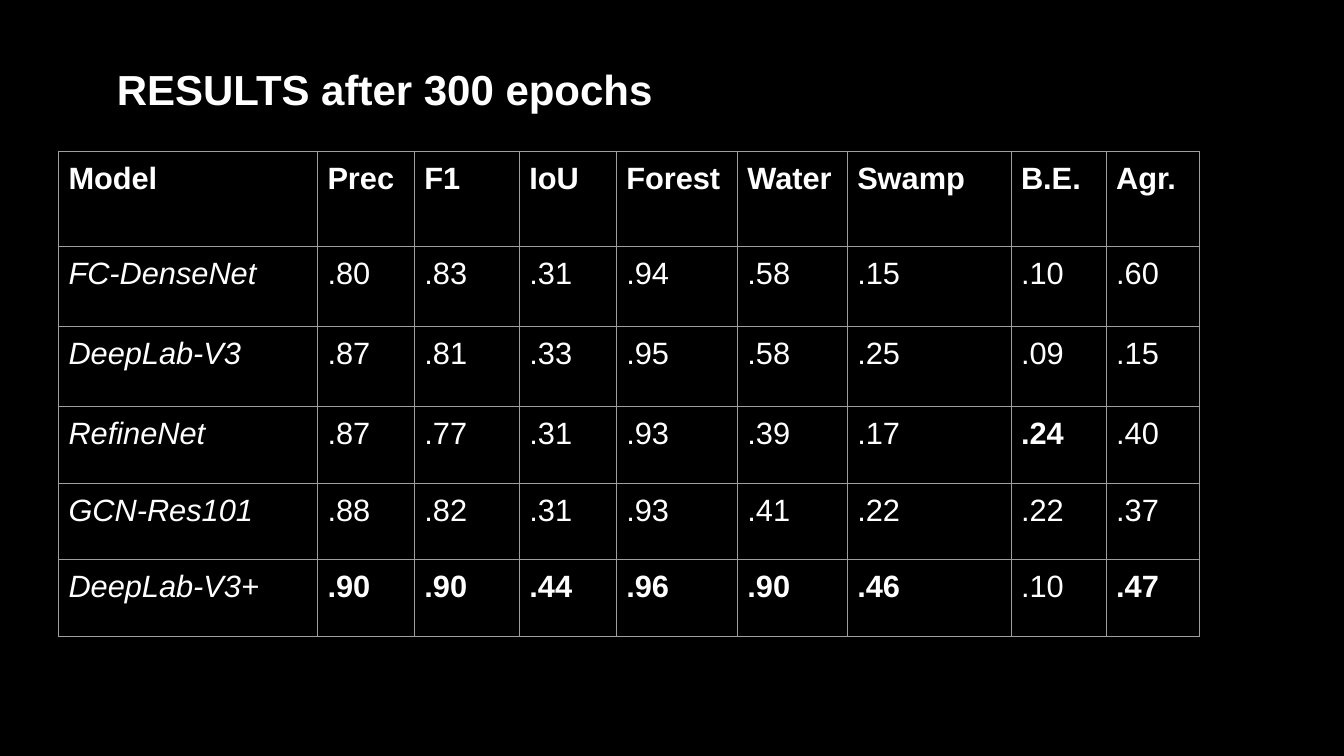
from lxml.etree import SubElement
from pptx import Presentation
from pptx.dml.color import RGBColor
from pptx.enum.text import MSO_ANCHOR, MSO_AUTO_SIZE, PP_ALIGN
from pptx.oxml.ns import qn
from pptx.util import Pt

COLORS = {"background": "000000", "text": "FFFFFF", "grid": "9E9E9E"}
FONT = "Arial"

METRICS = ["Model", "Prec", "F1", "IoU", "Forest", "Water", "Swamp", "B.E.", "Agr."]
# Scores in bold are marked with a trailing asterisk
SCORES = {
    "FC-DenseNet": ".80 .83 .31 .94 .58 .15 .10 .60",
    "DeepLab-V3": ".87 .81 .33 .95 .58 .25 .09 .15",
    "RefineNet": ".87 .77 .31 .93 .39 .17 .24* .40",
    "GCN-Res101": ".88 .82 .31 .93 .41 .22 .22 .37",
    "DeepLab-V3+": ".90* .90* .44* .96* .90* .46* .10 .47*",
}
COLUMN_WIDTHS = [185, 69.25, 75, 69.25, 86.5, 78.5, 117, 68, 67]
ROW_HEIGHTS = [68, 57, 57, 55, 54.5, 55]


def write(frame, text, size=22, bold=False, italic=False):
    paragraph = frame.paragraphs[0]
    paragraph.alignment = PP_ALIGN.LEFT
    run = paragraph.add_run()
    run.text = text
    run.font.name = FONT
    run.font.size = Pt(size)
    run.font.bold = bold
    run.font.italic = italic
    run.font.color.rgb = RGBColor.from_string(COLORS["text"])


def add_borders(cell, width=0.75):
    properties = cell._tc.get_or_add_tcPr()
    for position, side in enumerate(("a:lnL", "a:lnR", "a:lnT", "a:lnB")):
        line = properties.makeelement(qn(side), {"w": str(Pt(width))})
        fill = SubElement(line, qn("a:solidFill"))
        SubElement(fill, qn("a:srgbClr"), val=COLORS["grid"])
        properties.insert(position, line)


def fill_cell(cell, text, **style):
    cell.fill.background()
    cell.margin_left = cell.margin_right = Pt(7.2)
    cell.margin_top = cell.margin_bottom = Pt(7.2)
    cell.vertical_anchor = MSO_ANCHOR.TOP
    write(cell.text_frame, text, **style)
    add_borders(cell)


def add_title(slide, text):
    title = slide.shapes.title
    title.left, title.top, title.width, title.height = Pt(76.3), Pt(24), Pt(823.7), Pt(61)
    frame = title.text_frame
    frame.word_wrap = True
    frame.auto_size = MSO_AUTO_SIZE.NONE
    frame.vertical_anchor = MSO_ANCHOR.BOTTOM
    write(frame, text, size=30, bold=True)


def add_results(slide):
    results = slide.shapes.add_table(
        len(ROW_HEIGHTS), len(METRICS), Pt(41.75), Pt(108.25),
        Pt(sum(COLUMN_WIDTHS)), Pt(sum(ROW_HEIGHTS))).table
    results.first_row = results.horz_banding = False
    for column, width in zip(results.columns, COLUMN_WIDTHS):
        column.width = Pt(width)
    for row, height in zip(results.rows, ROW_HEIGHTS):
        row.height = Pt(height)

    # Header row
    for column, metric in enumerate(METRICS):
        fill_cell(results.cell(0, column), metric, bold=True)

    # One row for each model
    for row, (model, scores) in enumerate(SCORES.items(), start=1):
        fill_cell(results.cell(row, 0), model, italic=True)
        for column, score in enumerate(scores.split(), start=1):
            fill_cell(results.cell(row, column), score.rstrip("*"), bold=score.endswith("*"))


def main():
    presentation = Presentation()
    presentation.slide_width, presentation.slide_height = Pt(960), Pt(540)
    slide = presentation.slides.add_slide(presentation.slide_layouts[5])
    slide.background.fill.solid()
    slide.background.fill.fore_color.rgb = RGBColor.from_string(COLORS["background"])
    add_title(slide, "RESULTS after 300 epochs")
    add_results(slide)
    presentation.save("out.pptx")


if __name__ == "__main__":
    main()
